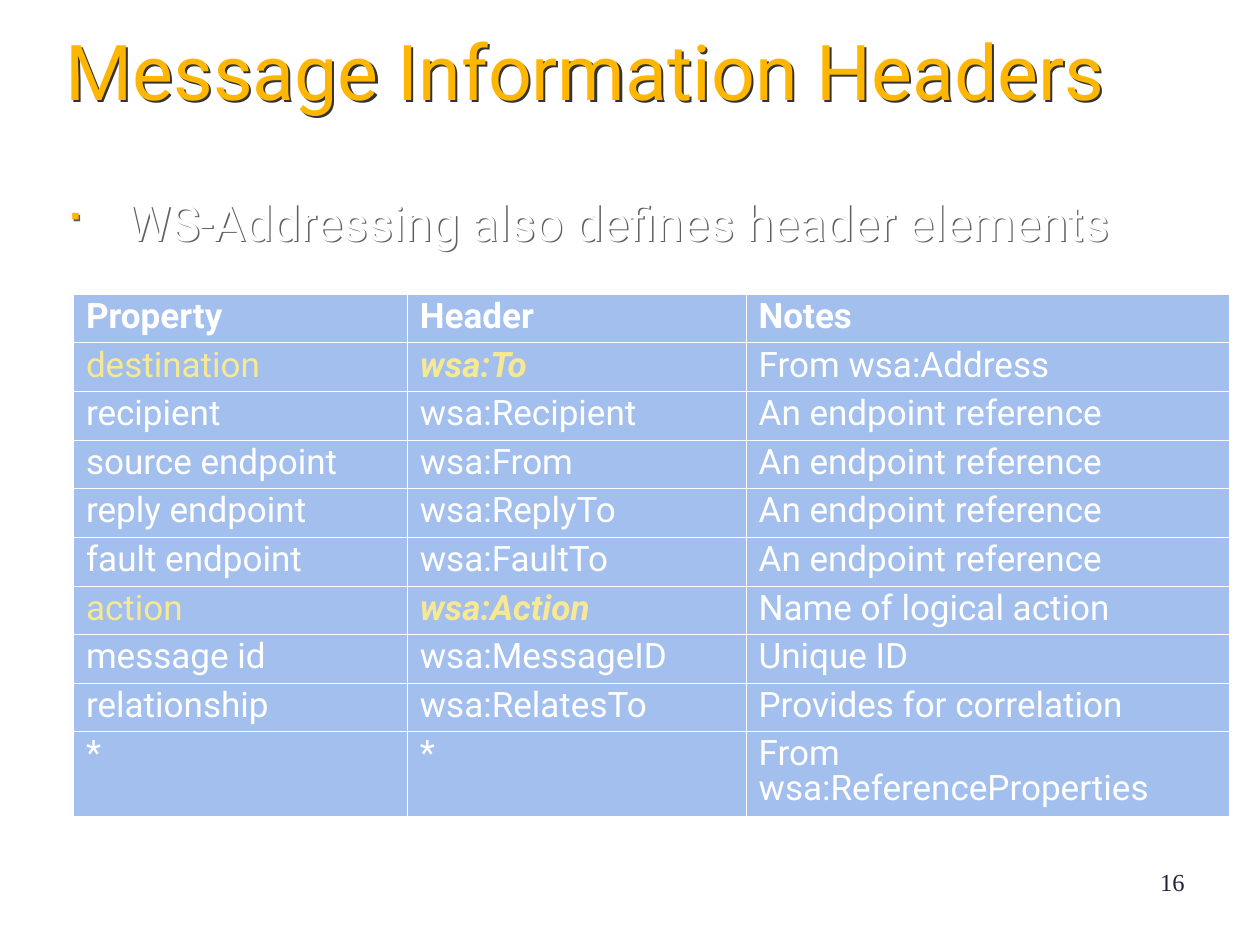
from lxml.etree import SubElement
from pptx import Presentation
from pptx.dml.color import RGBColor
from pptx.enum.text import PP_ALIGN
from pptx.oxml import parse_xml
from pptx.oxml.ns import nsdecls, qn
from pptx.util import Cm, Pt

AMBER = RGBColor(0xFF, 0xB6, 0x01)
WHITE = RGBColor(0xFF, 0xFF, 0xFF)
YELLOW = RGBColor(0xF7, 0xE9, 0x93)
BLUE = RGBColor(0x48, 0x80, 0xDC)
NAVY = RGBColor(0x22, 0x23, 0x3A)
CHARCOAL = RGBColor(0x33, 0x33, 0x33)
GRAY = RGBColor(0x60, 0x60, 0x60)

ROWS = [
    ("Property", "Header", "Notes"),
    ("destination", "wsa:To", "From wsa:Address"),
    ("recipient", "wsa:Recipient", "An endpoint reference"),
    ("source endpoint", "wsa:From", "An endpoint reference"),
    ("reply endpoint", "wsa:ReplyTo", "An endpoint reference"),
    ("fault endpoint", "wsa:FaultTo", "An endpoint reference"),
    ("action", "wsa:Action", "Name of logical action"),
    ("message id", "wsa:MessageID", "Unique ID"),
    ("relationship", "wsa:RelatesTo", "Provides for correlation"),
    ("*", "*", "From wsa:ReferenceProperties"),
]
HIGHLIGHTED = ("destination", "action")
COLUMN_WIDTHS = (6.73, 6.83, 9.75)
ROW_HEIGHT, LAST_ROW_HEIGHT = 0.98, 1.72
INNER_LINE, OUTER_LINE = Pt(0.45), Pt(1.08)


def add_run(paragraph, text, size, color, font="Roboto"):
    run = paragraph.add_run()
    run.text = text
    run.font.size = Pt(size)
    run.font.color.rgb = color
    run.font.name = font
    return run


def add_text_box(left, top, width, height, shadow=None, distance=0.05):
    """Add a wrapping text box, in centimetres, and return its first paragraph.

    An unfilled box casts its shadow from the letters.
    """
    box = slide.shapes.add_textbox(Cm(left), Cm(top), Cm(width), Cm(height))
    box.text_frame.word_wrap = True
    if shadow is not None:
        box._element.spPr.append(parse_xml(
            f'<a:effectLst {nsdecls("a")}><a:outerShdw dist="{Cm(distance)}" '
            f'dir="2700000" algn="ctr" rotWithShape="0"><a:srgbClr val="{shadow}"/>'
            '</a:outerShdw></a:effectLst>'))
    return box.text_frame.paragraphs[0]


presentation = Presentation()
presentation.slide_width, presentation.slide_height = Cm(25.4), Cm(19.05)
slide = presentation.slides.add_slide(presentation.slide_layouts[6])

title = add_text_box(1.07, 0.64, 23.32, 1.85, shadow=CHARCOAL, distance=0.06)
title.line_spacing = 0.85
add_run(title, "Message Information Headers", 44, AMBER)

statement = add_text_box(1.07, 3.94, 23.29, 2.74, shadow=GRAY, distance=0.04)
statement.line_spacing = 0.85
indent = statement._p.get_or_add_pPr()
indent.set("marL", str(Cm(1.25)))
indent.set("indent", str(-Cm(1.25)))
bullet_color = SubElement(indent, qn("a:buClr"))
SubElement(bullet_color, qn("a:srgbClr"), val=str(AMBER))
SubElement(indent, qn("a:buSzPct"), val="90000")
SubElement(indent, qn("a:buFont"), typeface="Wingdings", charset="2")
SubElement(indent, qn("a:buChar"), char="■")
add_run(statement, "WS-Addressing also defines header elements", 28, WHITE)

last_row, last_column = len(ROWS) - 1, len(COLUMN_WIDTHS) - 1
headers = slide.shapes.add_table(
    len(ROWS), len(COLUMN_WIDTHS), Cm(1.48), Cm(5.93),
    Cm(sum(COLUMN_WIDTHS)), Cm(last_row * ROW_HEIGHT + LAST_ROW_HEIGHT)).table
headers.horz_banding = False
for column, width in zip(headers.columns, COLUMN_WIDTHS):
    column.width = Cm(width)

for r, row in enumerate(ROWS):
    headers.rows[r].height = Cm(LAST_ROW_HEIGHT if r == last_row else ROW_HEIGHT)
    for c, text in enumerate(row):
        cell = headers.cell(r, c)
        highlighted = row[0] in HIGHLIGHTED and c < last_column
        paragraph = cell.text_frame.paragraphs[0]
        paragraph.line_spacing = 0.85
        entry = add_run(paragraph, text, 20, YELLOW if highlighted else WHITE)
        entry.font.bold = r == 0 or (highlighted and c == 1)
        entry.font.italic = highlighted and c == 1

        cell.fill.solid()
        cell.fill.fore_color.rgb = BLUE
        properties = cell._tc.get_or_add_tcPr()
        fill_color = properties.find(f'{qn("a:solidFill")}/{qn("a:srgbClr")}')
        SubElement(fill_color, qn("a:alpha"), val="50000")
        edges = {"L": c == 0, "R": c == last_column, "T": r == 0, "B": r == last_row}
        for position, (side, outer) in enumerate(edges.items()):
            line_width = OUTER_LINE if outer else INNER_LINE
            properties.insert(position, parse_xml(
                f'<a:ln{side} {nsdecls("a")} w="{line_width}"><a:solidFill>'
                f'<a:srgbClr val="{WHITE}"/></a:solidFill></a:ln{side}>'))

page_number = add_text_box(18.21, 17.35, 5.92, 1.32)
page_number.alignment = PP_ALIGN.RIGHT
add_run(page_number, "16", 14, NAVY, font="Times New Roman")

presentation.save("out.pptx")
